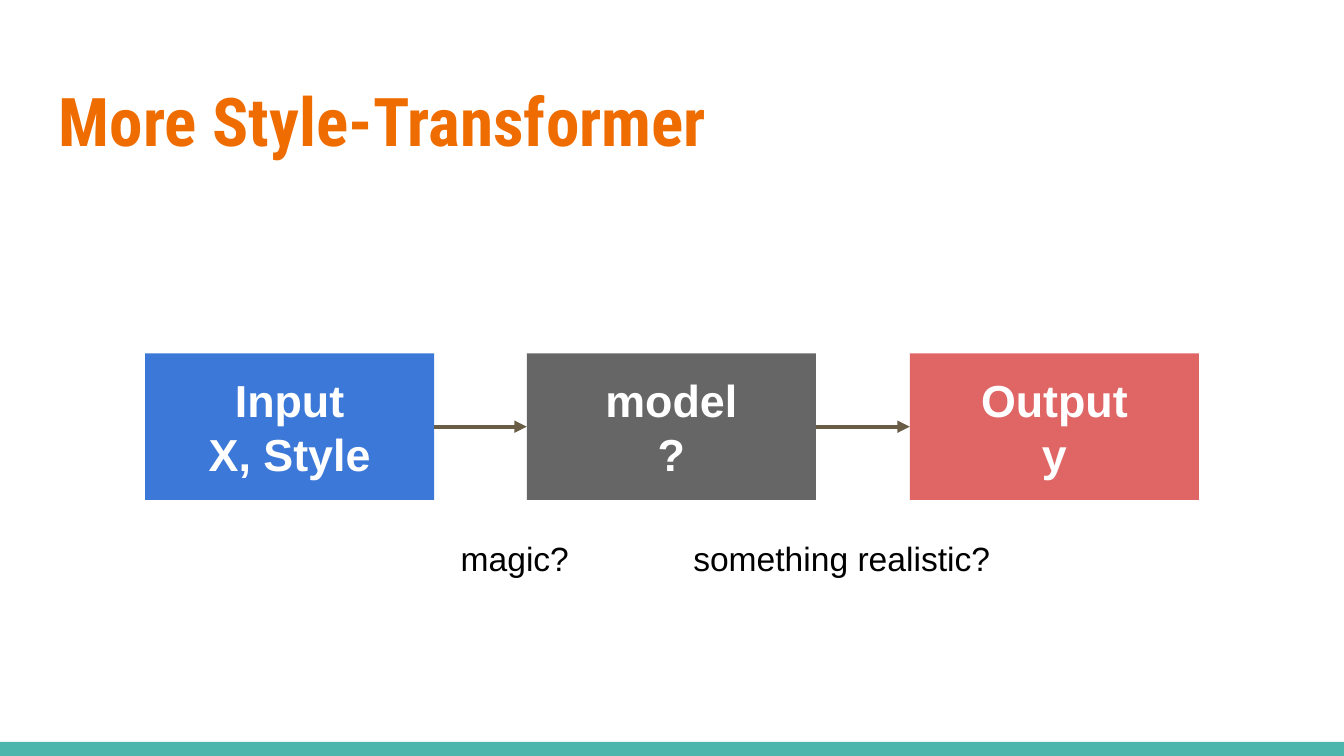
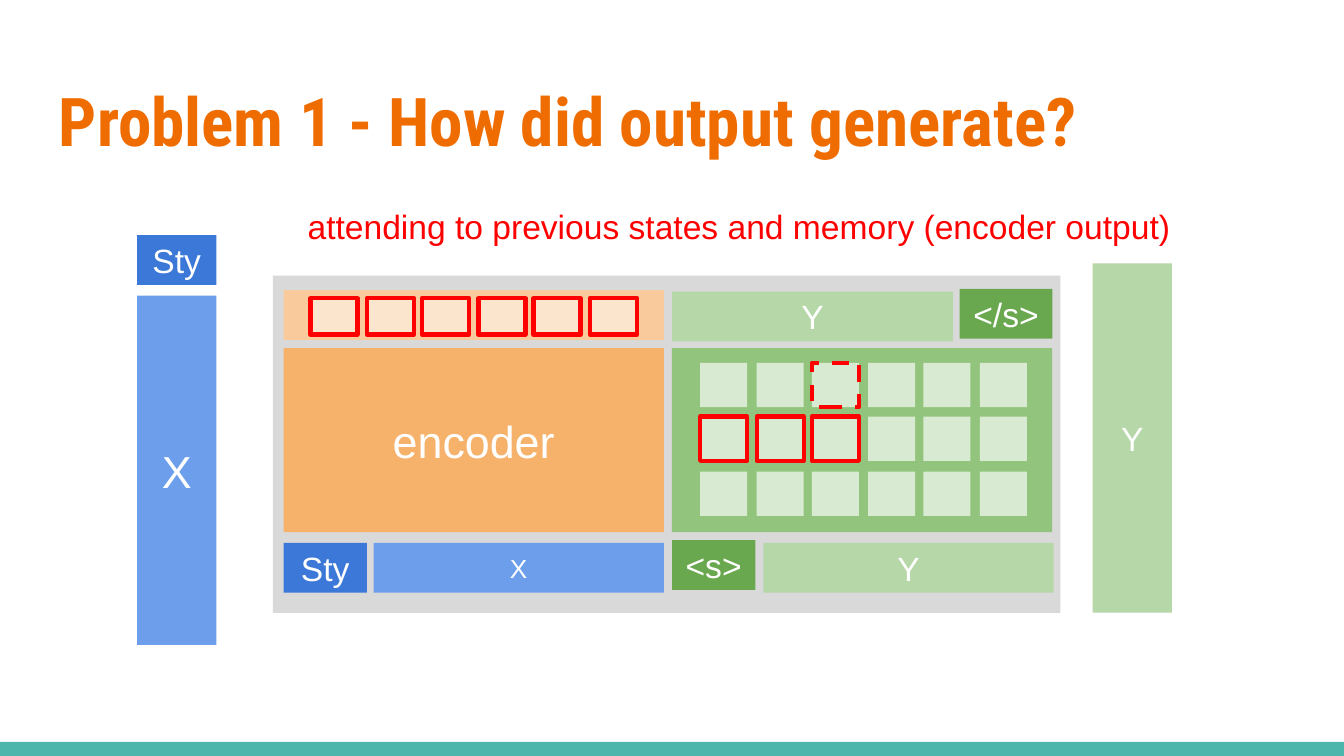
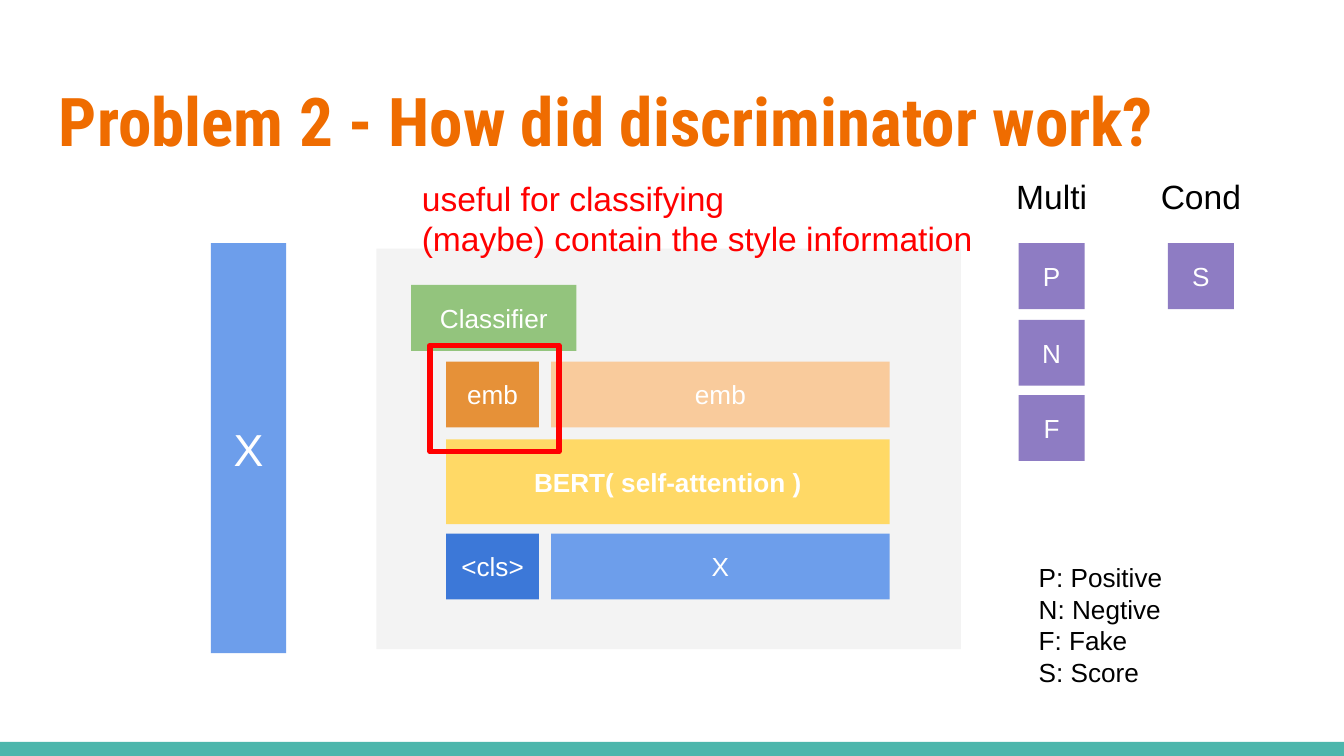
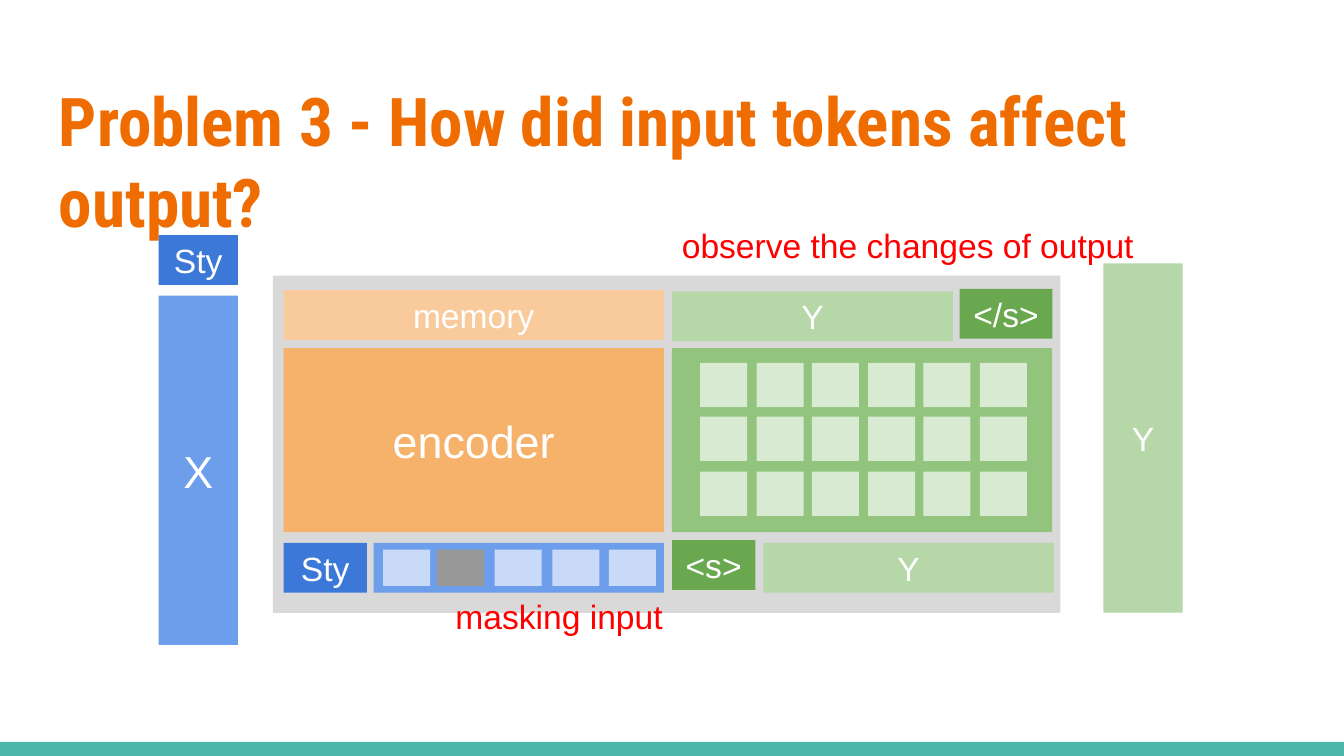
from dataclasses import dataclass
from typing import Iterable, Optional

from lxml.etree import SubElement
from pptx import Presentation
from pptx.dml.color import RGBColor
from pptx.enum.dml import MSO_LINE_DASH_STYLE as Dash
from pptx.enum.shapes import MSO_CONNECTOR as Connector, MSO_SHAPE as Preset
from pptx.enum.text import MSO_ANCHOR as Anchor, PP_ALIGN as Align
from pptx.oxml.ns import qn
from pptx.util import Emu, Pt

EMU_PER_PX = 9144
SLIDE_WIDTH = 1000

COLORS = {
    "white": "FFFFFF",
    "black": "000000",
    "red": "FF0000",
    "title": "EF6C00",
    "band": "4DB6AC",
    "arrow": "695D46",
    "panel": "D9D9D9",
    "light panel": "F3F3F3",
    "model": "666666",
    "output": "E06666",
    "mask": "999999",
    "blue": "6D9EEB",
    "dark blue": "3C78D8",
    "pale blue": "C9DAF8",
    "orange": "F6B26B",
    "dark orange": "E69138",
    "light orange": "F9CB9C",
    "pale orange": "FCE5CD",
    "green": "93C47D",
    "dark green": "6AA84F",
    "light green": "B6D7A8",
    "pale green": "D9EAD3",
    "yellow": "FFD966",
    "purple": "8E7CC3",
}

FRAME_FORMAT = {
    "word_wrap": True,
    "margin_left": Emu(10 * EMU_PER_PX),
    "margin_top": Emu(10 * EMU_PER_PX),
    "margin_right": Emu(10 * EMU_PER_PX),
    "margin_bottom": Emu(10 * EMU_PER_PX),
}


@dataclass(frozen=True)
class TextStyle:
    size: int = 18
    color: str = "white"
    bold: bool = False
    font: str = "Arial"
    centered: bool = True


@dataclass(frozen=True)
class Outline:
    color: str = "red"
    weight: float = 2.25
    dash: Optional[Dash] = None


SMALL = TextStyle(14)
MEDIUM = TextStyle()
LARGE = TextStyle(24)
STAGE = TextStyle(24, bold=True)
TITLE = TextStyle(36, "title", True, "Roboto Condensed", False)
CAPTION = TextStyle(color="black", centered=False)
HEADING = TextStyle(color="black")
LEGEND = TextStyle(14, "black", centered=False)
NOTE = TextStyle(color="red", centered=False)
CENTERED_NOTE = TextStyle(color="red")
ATTENDED = Outline()
CURRENT = Outline(dash=Dash.DASH)


@dataclass(frozen=True)
class Box:
    left: int
    top: int
    width: int
    height: int
    fill: Optional[str] = None
    text: str = ""
    style: TextStyle = MEDIUM
    outline: Optional[Outline] = None


@dataclass(frozen=True)
class Label:
    left: int
    top: int
    width: int
    height: int
    text: str
    style: TextStyle


def px(length: int) -> Emu:
    return Emu(length * EMU_PER_PX)


def rgb(name: str) -> RGBColor:
    return RGBColor.from_string(COLORS[name])


def bounds(item) -> list[Emu]:
    return [px(length) for length in (item.left, item.top, item.width, item.height)]


def spread(first: int, last: int, count: int) -> list[int]:
    return [round(first + (last - first) * index / (count - 1)) for index in range(count)]


def write(shape, text: str, style: TextStyle) -> None:
    frame = shape.text_frame
    frame_format = FRAME_FORMAT | {
        "vertical_anchor": Anchor.MIDDLE if style.centered else Anchor.TOP
    }
    for name, value in frame_format.items():
        setattr(frame, name, value)
    font_format = {"name": style.font, "size": Pt(style.size), "bold": style.bold}
    for index, line in enumerate(text.split("\n")):
        paragraph = frame.add_paragraph() if index else frame.paragraphs[0]
        paragraph.alignment = Align.CENTER if style.centered else Align.LEFT
        run = paragraph.add_run()
        run.text = line
        for name, value in font_format.items():
            setattr(run.font, name, value)
        run.font.color.rgb = rgb(style.color)


def draw_box(slide, box: Box):
    shape = slide.shapes.add_shape(Preset.RECTANGLE, *bounds(box))
    shape.shadow.inherit = False
    if box.fill:
        shape.fill.solid()
        shape.fill.fore_color.rgb = rgb(box.fill)
    else:
        shape.fill.background()
    if box.outline:
        shape.line.color.rgb = rgb(box.outline.color)
        shape.line.width = Pt(box.outline.weight)
        if box.outline.dash:
            shape.line.dash_style = box.outline.dash
    else:
        shape.line.fill.background()
    if box.text:
        write(shape, box.text, box.style)
    return shape


def draw_boxes(slide, boxes: Iterable[Box]) -> list:
    return [draw_box(slide, box) for box in boxes]


def draw_labels(slide, labels: Iterable[Label]) -> None:
    for label in labels:
        write(slide.shapes.add_textbox(*bounds(label)), label.text, label.style)


def draw_arrow(slide, source, target) -> None:
    connector = slide.shapes.add_connector(Connector.STRAIGHT, 0, 0, 0, 0)
    connector.begin_connect(source, 3)
    connector.end_connect(target, 1)
    connector.line.color.rgb = rgb("arrow")
    connector.line.width = Pt(2.25)
    SubElement(connector.line._get_or_add_ln(), qn("a:tailEnd"), type="triangle")
    SubElement(connector._element.spPr, qn("a:effectLst"))


def new_slide(presentation, title: str):
    slide = presentation.slides.add_slide(presentation.slide_layouts[6])
    draw_box(slide, Box(0, 552, SLIDE_WIDTH, 11, "band"))
    draw_labels(slide, [Label(34, 49, 932, 77, title, TITLE)])
    return slide


def draw_transformer(
    slide,
    input_left: int,
    output_left: int,
    memory_text: str = "",
    input_text: str = "",
    outlines: Optional[dict[tuple[int, int], Outline]] = None,
) -> None:
    outlines = outlines or {}
    draw_boxes(slide, [
        Box(input_left, 220, 59, 260, "blue", "X", LARGE),
        Box(input_left, 175, 59, 37, "dark blue", "Sty"),
        Box(output_left, 196, 59, 260, "light green", "Y"),
        Box(203, 205, 586, 251, "panel"),
        Box(211, 259, 283, 137, "orange", "encoder", LARGE),
        Box(211, 216, 283, 37, "light orange", memory_text),
        Box(500, 259, 283, 137, "green"),
        Box(211, 404, 62, 37, "dark blue", "Sty"),
        Box(278, 404, 216, 37, "blue", input_text, SMALL),
        Box(500, 217, 209, 37, "light green", "Y"),
        Box(714, 215, 69, 37, "dark green", "</s>"),
        Box(500, 402, 62, 37, "dark green", "<s>"),
        Box(568, 404, 216, 37, "light green", "Y"),
    ])
    draw_boxes(slide, [
        Box(left, top, 35, 33, "pale green", outline=outlines.get((row, column)))
        for row, top in enumerate(spread(270, 351, 3))
        for column, left in enumerate(spread(521, 729, 6))
    ])


def build_overview(presentation) -> None:
    slide = new_slide(presentation, "More Style-Transformer")
    stages = draw_boxes(slide, [
        Box(left, 263, 215, 109, fill, text, STAGE)
        for left, fill, text in (
            (108, "dark blue", "Input\nX, Style"),
            (392, "model", "model\n?"),
            (677, "output", "Output\ny"),
        )
    ])
    for source, target in zip(stages, stages[1:]):
        draw_arrow(slide, source, target)
    draw_labels(slide, [
        Label(333, 390, 173, 56, "magic?", CAPTION),
        Label(506, 390, 299, 56, "something realistic?", CAPTION),
    ])


def build_generation(presentation) -> None:
    slide = new_slide(presentation, "Problem 1 - How did output generate?")
    attention = {(1, column): ATTENDED for column in range(3)} | {(0, 2): CURRENT}
    draw_transformer(slide, 102, 813, input_text="X", outlines=attention)
    draw_boxes(slide, [
        Box(left, 222, 35, 27, "pale orange", outline=ATTENDED)
        for left in spread(231, 439, 6)
    ])
    draw_labels(slide, [
        Label(219, 143, 765, 79,
              "attending to previous states and memory (encoder output)", NOTE),
    ])


def build_discriminator(presentation) -> None:
    slide = new_slide(presentation, "Problem 2 - How did discriminator work?")
    draw_boxes(slide, [
        Box(280, 185, 435, 298, "light panel"),
        Box(410, 397, 252, 49, "blue", "X", SMALL),
        Box(332, 397, 69, 49, "dark blue", "<cls>", SMALL),
        Box(332, 327, 330, 63, "yellow", "BERT( self-attention )", TextStyle(14, bold=True)),
        Box(410, 269, 252, 49, "light orange", "emb", SMALL),
        Box(332, 269, 69, 49, "dark orange", "emb", SMALL),
        Box(306, 212, 123, 49, "green", "Classifier", SMALL),
        Box(157, 181, 56, 305, "blue", "X", LARGE),
        Box(320, 257, 96, 79, outline=Outline(weight=3)),
    ])
    for heading, left, classes in (("Multi", 758, "PNF"), ("Cond", 869, "S")):
        draw_labels(slide, [Label(left - 20, 121, 89, 49, heading, HEADING)])
        draw_boxes(slide, [
            Box(left, top, 49, 49, "purple", letter, SMALL)
            for letter, top in zip(classes, spread(181, 294, 3))
        ])
    draw_labels(slide, [
        Label(763, 408, 153, 79, "P: Positive\nN: Negtive\nF: Fake\nS: Score", LEGEND),
        Label(304, 122, 475, 79,
              "useful for classifying\n(maybe) contain the style information", NOTE),
    ])


def build_masking(presentation) -> None:
    slide = new_slide(presentation, "Problem 3 - How did input tokens affect output?")
    draw_transformer(slide, 118, 821, memory_text="memory")
    draw_boxes(slide, [
        Box(left, 409, 35, 27, "mask" if token == 1 else "pale blue")
        for token, left in enumerate((285, 325, 368, 411, 453))
    ])
    draw_labels(slide, [
        Label(483, 143, 385, 79, "observe the changes of output", CENTERED_NOTE),
        Label(325, 434, 182, 49, "masking input", CENTERED_NOTE),
    ])


def main() -> None:
    presentation = Presentation()
    presentation.slide_width = px(SLIDE_WIDTH)
    presentation.slide_height = Emu(px(SLIDE_WIDTH) * 9 // 16)
    for build in (build_overview, build_generation, build_discriminator, build_masking):
        build(presentation)
    presentation.save("out.pptx")


if __name__ == "__main__":
    main()
